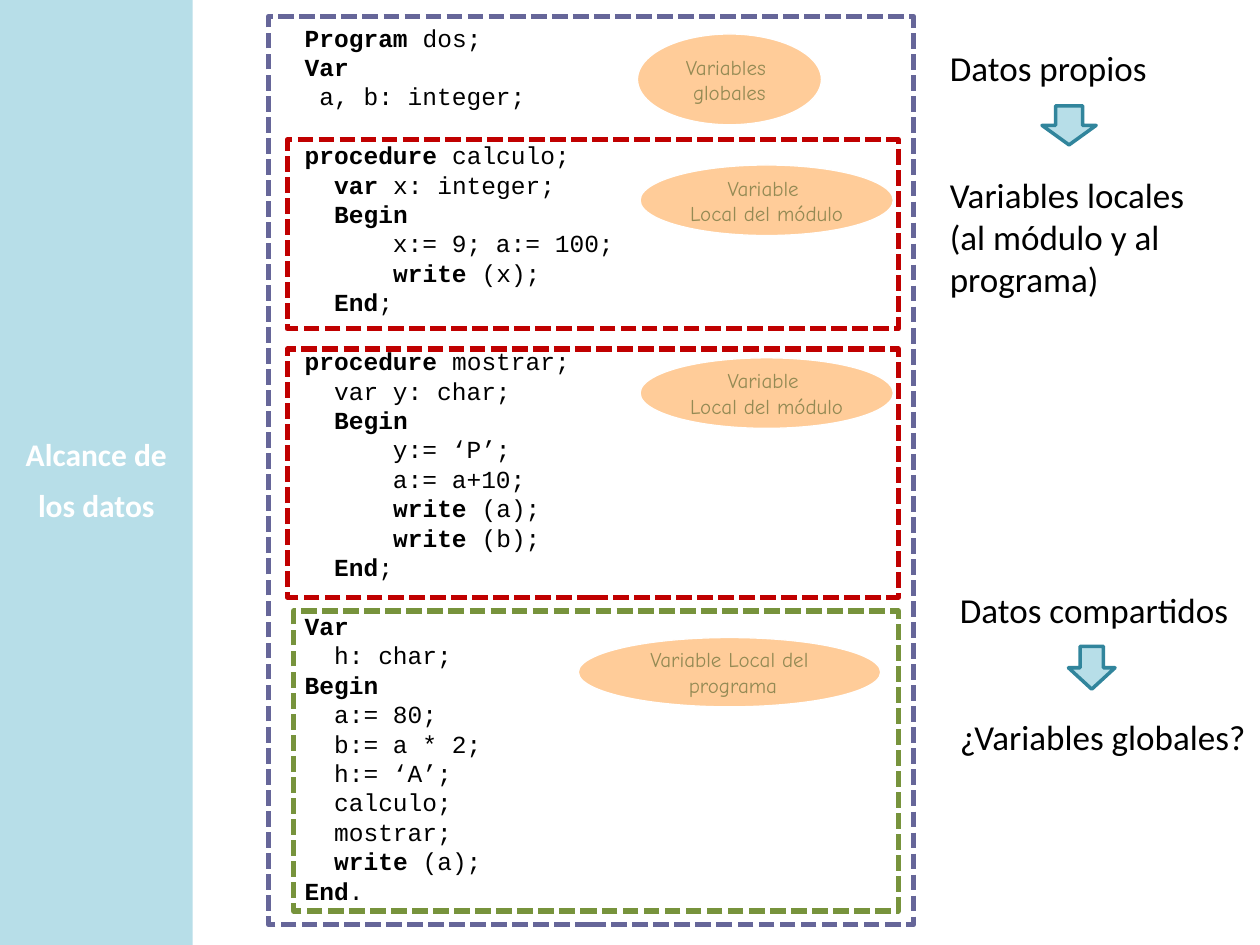
from pptx import Presentation
from pptx.dml.color import RGBColor
from pptx.enum.dml import MSO_LINE
from pptx.enum.shapes import MSO_SHAPE
from pptx.enum.text import MSO_ANCHOR, PP_ALIGN
from pptx.util import Inches, Pt

RECTANGLE, OVAL, DOWN_ARROW = MSO_SHAPE.RECTANGLE, MSO_SHAPE.OVAL, MSO_SHAPE.DOWN_ARROW
DOTTED = MSO_LINE.SQUARE_DOT
MIDDLE, TOP = MSO_ANCHOR.MIDDLE, MSO_ANCHOR.TOP
CENTER, LEFT = PP_ALIGN.CENTER, PP_ALIGN.LEFT

# Asterisks enclose the bold words; each block is parted from the next by one line.
CODE_BLOCKS = [
    """*Program* dos;
*Var*
 a, b: integer;""",
    """*procedure* calculo;
  *var* x: integer;
  *Begin*
      x:= 9; a:= 100;
      *write* (x);
  *End*;""",
    """*procedure* mostrar;
  var y: char;
  *Begin*
      y:= ‘P’;
      a:= a+10;
      *write* (a);
      *write* (b);
  *End*;""",
    """*Var*
  h: char;
*Begin*
  a:= 80;
  b:= a ~ 2;
  h:= ‘A’;
  calculo;
  mostrar;
  *write* (a);
*End*.""",
]
CODE_FORMAT = {"name": "Courier New", "size": Pt(14)}
LABEL_FORMAT = {"name": "Comic Neue", "size": Pt(12)}
NOTE_FORMAT = {"name": "Calibri", "size": Pt(20)}
TITLE_FORMAT = {"name": "Calibri", "size": Pt(18), "bold": True}


def color(hex_value):
    return RGBColor.from_string(hex_value)


def write_lines(shape, lines, font_format, font_color, alignment=LEFT, anchor=TOP, wrap=True):
    """Fill a shape with (text, space before in points) lines; *text* is bold, ~ is an asterisk."""
    frame = shape.text_frame
    frame.word_wrap = wrap
    frame.vertical_anchor = anchor
    for index, (text, gap) in enumerate(lines):
        paragraph = frame.paragraphs[0] if index == 0 else frame.add_paragraph()
        paragraph.alignment = alignment
        if gap:
            paragraph.space_before = Pt(gap)
        for part_index, part in enumerate(text.split("*")):
            if not part:
                continue
            run = paragraph.add_run()
            run.text = part.replace("~", "*")
            run.font.bold = part_index % 2 == 1
            run.font.color.rgb = color(font_color)
            for name, value in font_format.items():
                setattr(run.font, name, value)


presentation = Presentation()
presentation.slide_width, presentation.slide_height = Inches(10), Inches(7.5)
slide = presentation.slides.add_slide(presentation.slide_layouts[6])
shapes = slide.shapes

# Program listing
code_lines = []
for block in CODE_BLOCKS:
    for line_index, line in enumerate(block.split("\n")):
        starts_later_block = line_index == 0 and code_lines
        code_lines.append((line, 16.8 if starts_later_block else 0))
listing = shapes.add_textbox(Inches(2.32), Inches(0.13), Inches(5.12), Inches(7.11))
write_lines(listing, code_lines, CODE_FORMAT, "000000")

# Dotted frames: whole program, two procedures, main block
for left, top, width, height, line_color in [
    (2.13, 0.13, 5.12, 7.21, "666699"),
    (2.28, 1.11, 4.85, 1.5, "C00000"),
    (2.28, 2.77, 4.85, 1.97, "C00000"),
    (2.33, 4.85, 4.8, 2.38, "77933C"),
]:
    frame_box = shapes.add_shape(RECTANGLE, Inches(left), Inches(top), Inches(width), Inches(height))
    frame_box.shadow.inherit = False
    frame_box.fill.background()
    frame_box.line.color.rgb = color(line_color)
    frame_box.line.width = Pt(3)
    frame_box.line.dash_style = DOTTED

# Scope labels
for left, top, width, height, words in [
    (5.06, 0.27, 1.46, 0.72, ["Variables ", "globales"]),
    (5.08, 1.31, 2.01, 0.56, ["Variable ", "Local del módulo"]),
    (5.08, 2.84, 2.01, 0.56, ["Variable ", "Local del módulo"]),
    (4.59, 5.06, 2.4, 0.55, ["Variable Local del", " programa"]),
]:
    label = shapes.add_shape(OVAL, Inches(left), Inches(top), Inches(width), Inches(height))
    label.shadow.inherit = False
    label.fill.solid()
    label.fill.fore_color.rgb = color("FFCC99")
    label.line.color.rgb = color("FFFFFF")
    label.line.width = Pt(0.75)
    write_lines(label, [(word, 0) for word in words], LABEL_FORMAT, "948A54", CENTER, MIDDLE, False)

# Title band
band = shapes.add_shape(RECTANGLE, 0, 0, Inches(1.53), Inches(7.5))
band.shadow.inherit = False
band.fill.solid()
band.fill.fore_color.rgb = color("B7DEE8")
band.line.fill.background()
write_lines(band, [("Alcance de los datos", 0)], TITLE_FORMAT, "FFFFFF", CENTER, MIDDLE)
band.text_frame.paragraphs[0].line_spacing = 1.35

# Notes, with room for an arrow under the first line
for left, top, width, height, lines in [
    (7.44, 0.32, 2.5, 2.1,
     [("Datos propios", 0), ("Variables locales", 48.8), ("(al módulo y al programa)", 0)]),
    (7.52, 4.62, 2.56, 1.44, [("Datos compartidos", 0), ("¿Variables globales?", 48.8)]),
]:
    note = shapes.add_textbox(Inches(left), Inches(top), Inches(width), Inches(height))
    write_lines(note, lines, NOTE_FORMAT, "000000")

for left, top, width, height in [(8.27, 0.84, 0.43, 0.31), (8.48, 5.13, 0.37, 0.34)]:
    arrow = shapes.add_shape(DOWN_ARROW, Inches(left), Inches(top), Inches(width), Inches(height))
    arrow.shadow.inherit = False
    arrow.fill.solid()
    arrow.fill.fore_color.rgb = color("B7DEE8")
    arrow.line.color.rgb = color("31859C")
    arrow.line.width = Pt(2)

presentation.save("out.pptx")
